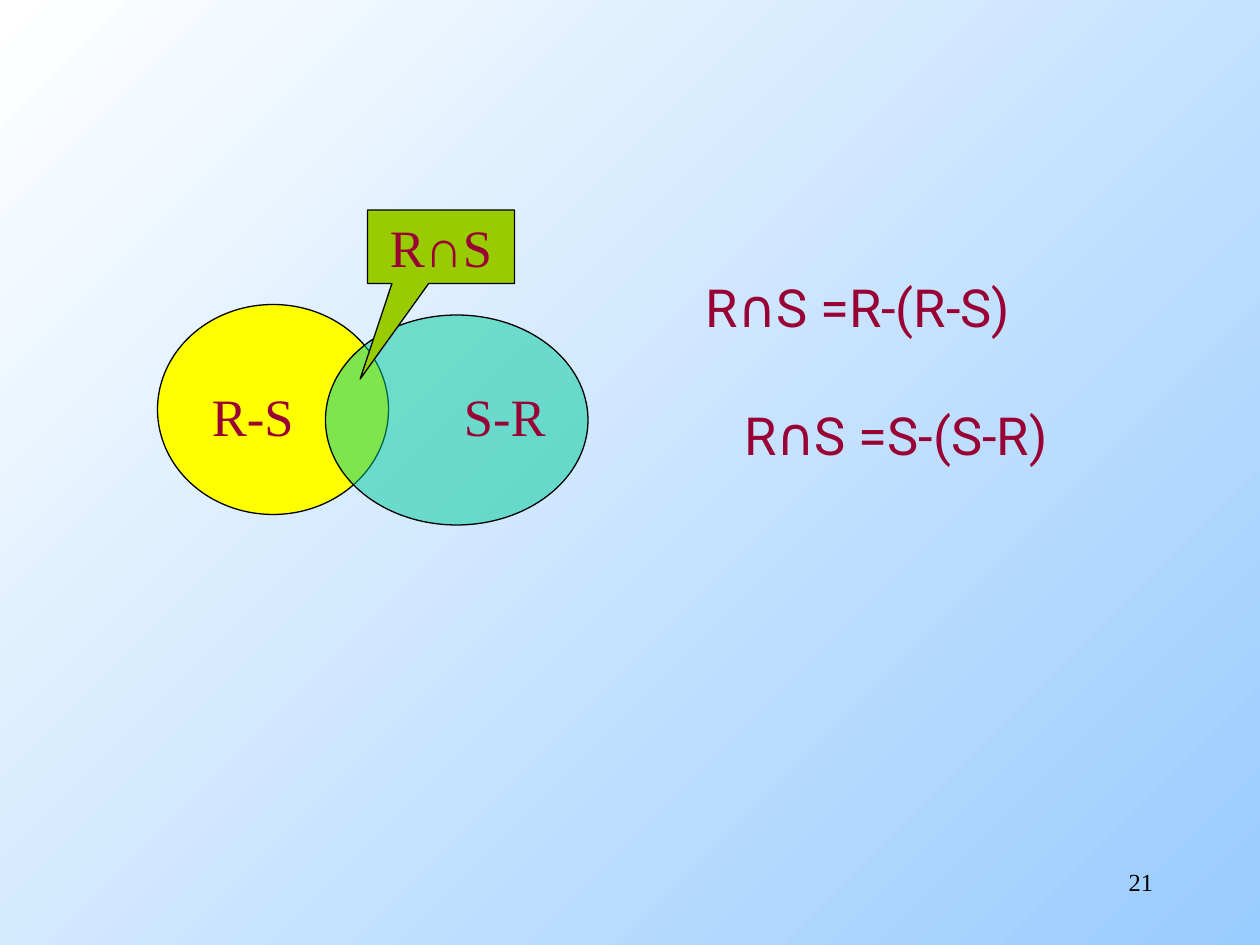
from lxml import etree
from pptx import Presentation
from pptx.dml.color import RGBColor
from pptx.enum import shapes, text
from pptx.oxml import ns
from pptx.util import Pt

WHITE = RGBColor(0xFF, 0xFF, 0xFF)
SKY = RGBColor(0x99, 0xCC, 0xFF)
BLACK = RGBColor(0, 0, 0)
CRIMSON = RGBColor(0x99, 0, 0x33)
YELLOW = RGBColor(0xFF, 0xFF, 0)
TEAL = RGBColor(0, 0xCC, 0x99)
GREEN = RGBColor(0x99, 0xCC, 0)

SERIF = {"name": "Times New Roman", "size": Pt(30)}
SANS = {"name": "Roboto", "size": Pt(30)}
NUMBER = {"name": "Times New Roman", "size": Pt(14)}

SLIDE_SIZE = (720, 540)
IDENTITIES = [("R∩S =R-(R-S)", 0, 0), ("R∩S =S-(S-R)", 22, 37)]
IDENTITIES_AREA = (396, 192, 234, 78)
SETS = [((90, 174, 132, 120), YELLOW, 100), ((186, 180, 150, 120), TEAL, 50)]
DIFFERENCES = [("S-R", (258, 216, 66, 43.2)), ("R-S", (114, 216, 66, 43.2))]
INTERSECTION = ("R∩S", (210, 120, 84, 42), (-0.55, 1.8))
PAGE = ("21", (516, 492, 150, 36))


def write(paragraph, words, font, color, align):
    paragraph.text = words
    paragraph.alignment = align
    for key, value in font.items():
        setattr(paragraph.font, key, value)
    paragraph.font.color.rgb = color


def add_label(slide, words, area, font, color, align):
    label = slide.shapes.add_textbox(*map(Pt, area))
    label.text_frame.word_wrap = True
    write(label.text_frame.paragraphs[0], words, font, color, align)


def add_region(slide, preset, area, color, opacity=100):
    region = slide.shapes.add_shape(preset, *map(Pt, area))
    region.shadow.inherit = False
    region.fill.solid()
    region.fill.fore_color.rgb = color
    region.line.color.rgb = BLACK
    region.line.width = Pt(0.75)
    if opacity < 100:
        tint = region.fill._xPr.find(ns.qn("a:solidFill"))[0]
        etree.SubElement(tint, ns.qn("a:alpha"), val=str(opacity * 1000))
    return region


def add_identities(slide):
    title = slide.shapes.title
    for side, length in zip(("left", "top", "width", "height"), IDENTITIES_AREA):
        setattr(title, side, Pt(length))
    frame = title.text_frame
    frame.word_wrap = True
    frame.auto_size = text.MSO_AUTO_SIZE.NONE
    frame.vertical_anchor = text.MSO_ANCHOR.BOTTOM
    for index, (identity, indent, gap) in enumerate(IDENTITIES):
        line = frame.add_paragraph() if index else frame.paragraphs[0]
        line._p.get_or_add_pPr().set("marL", str(Pt(indent)))
        line.space_before = Pt(gap)
        write(line, identity, SANS, CRIMSON, text.PP_ALIGN.LEFT)


def main():
    deck = Presentation()
    deck.slide_width, deck.slide_height = map(Pt, SLIDE_SIZE)
    slide = deck.slides.add_slide(deck.slide_layouts[5])

    backdrop = slide.background.fill
    backdrop.gradient()
    backdrop.gradient_angle = 315
    for stop, color in zip(backdrop.gradient_stops, (WHITE, SKY)):
        stop.color.rgb = color

    add_identities(slide)
    add_label(slide, *PAGE, NUMBER, BLACK, text.PP_ALIGN.RIGHT)
    for area, color, opacity in SETS:
        add_region(slide, shapes.MSO_SHAPE.OVAL, area, color, opacity)
    for difference, area in DIFFERENCES:
        add_label(slide, difference, area, SERIF, CRIMSON, text.PP_ALIGN.LEFT)

    words, area, tip = INTERSECTION
    callout = add_region(slide, shapes.MSO_SHAPE.RECTANGULAR_CALLOUT, area, GREEN)
    for index, offset in enumerate(tip):
        callout.adjustments[index] = offset
    callout.text_frame.vertical_anchor = text.MSO_ANCHOR.MIDDLE
    write(callout.text_frame.paragraphs[0], words, SERIF, CRIMSON, text.PP_ALIGN.CENTER)

    deck.save("out.pptx")


if __name__ == "__main__":
    main()
